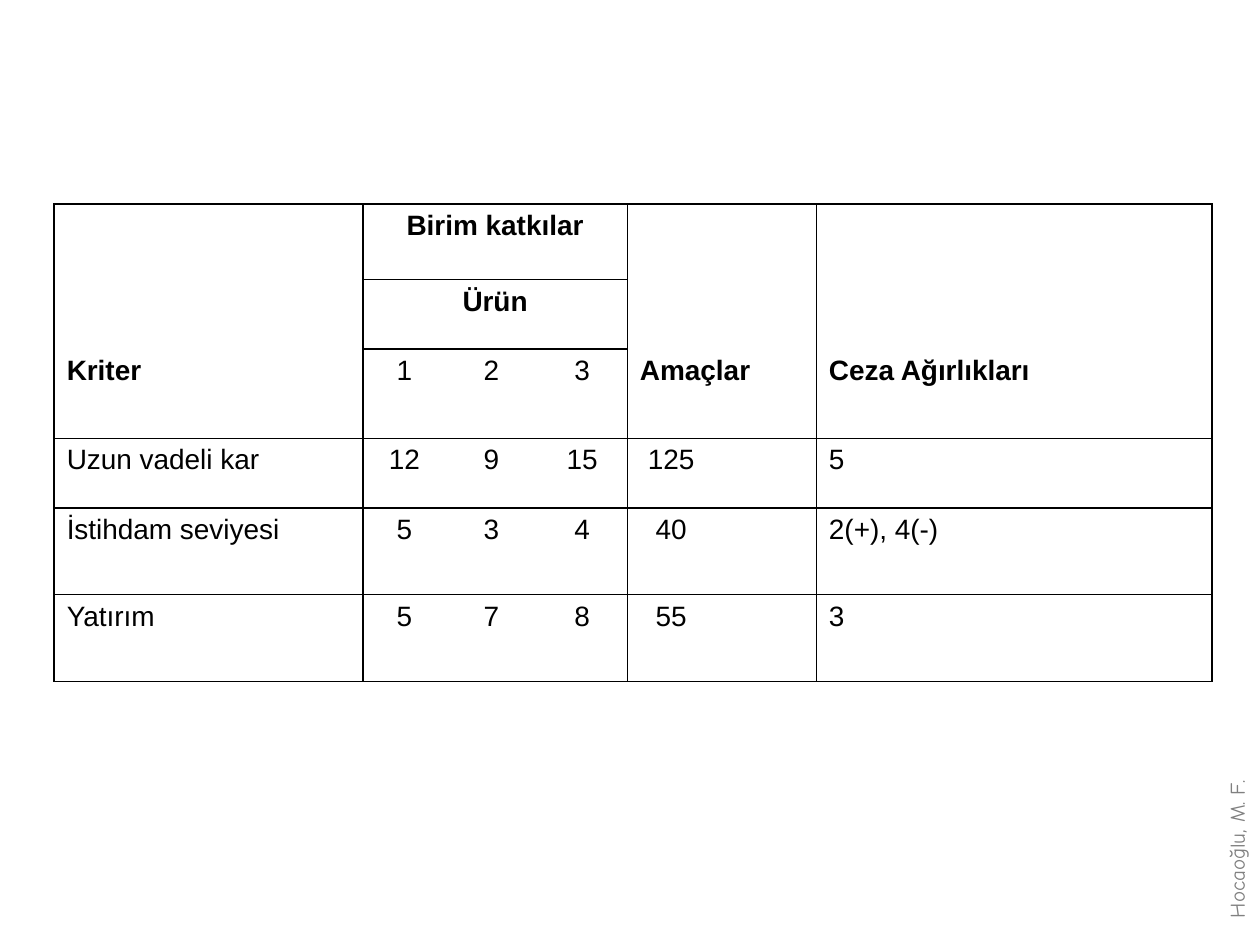
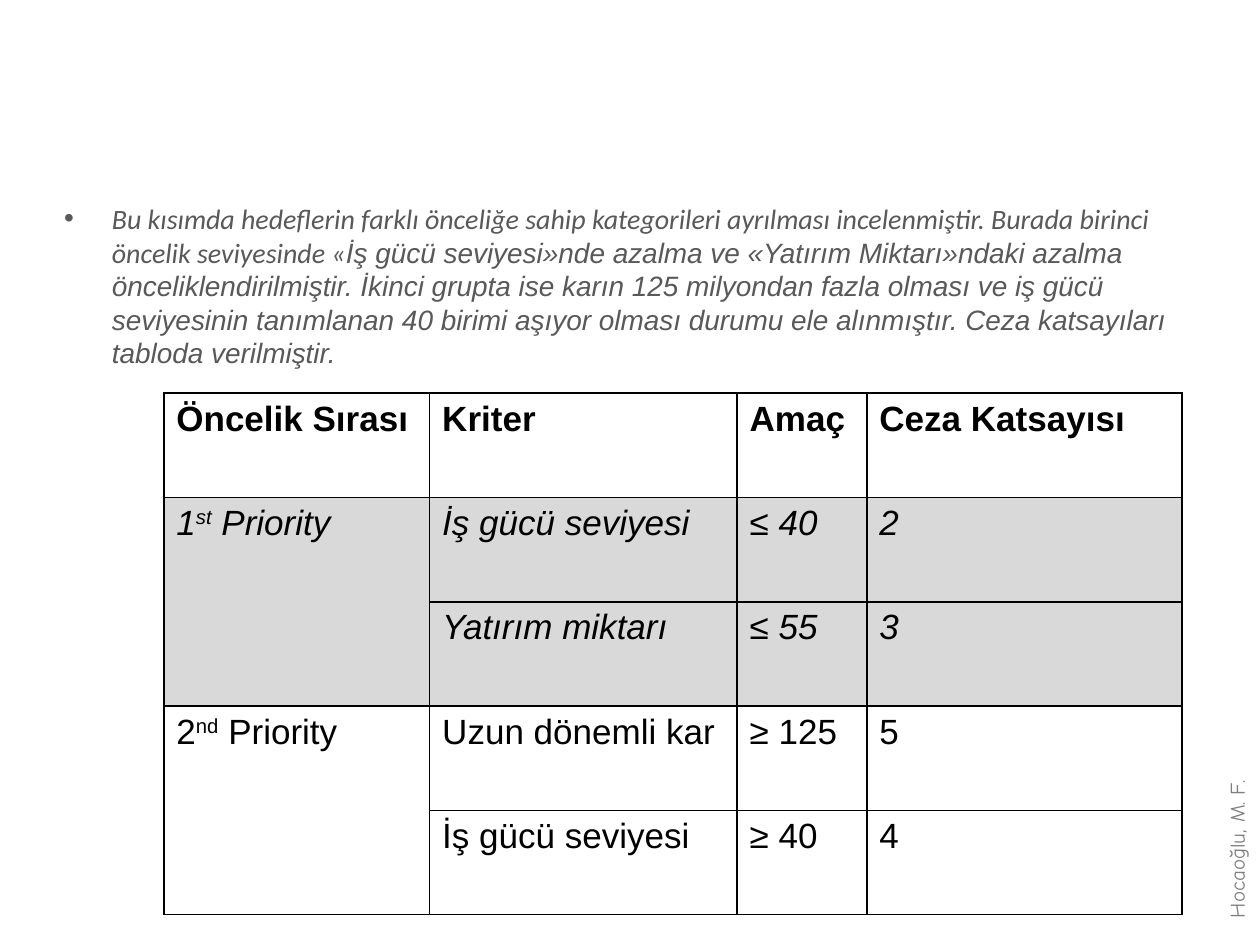
from dataclasses import dataclass

from lxml import etree
from pptx import Presentation
from pptx import util as u
from pptx.dml.color import RGBColor
from pptx.enum import text
from pptx.oxml import ns

COLOURS = {
    "ink": "000000",
    "body": "595959",
    "footer": "808080",
    "band": "D9D9D9",
    "page": "FFFFFF",
}
GRID = u.Inches(0.1)
COLUMNS, ROWS = 100, 75
SPACE_WIDTH = u.Pt(4.45)
SIDES = ("L", "R", "T", "B")


@dataclass
class Box:
    left: float
    top: float
    width: float
    height: float

    def place(self):
        return [round(side * GRID) for side in (self.left, self.top, self.width, self.height)]


@dataclass
class Block:
    top: int
    left: int
    rows: int
    columns: int
    merged: bool = False

    def holds(self, row, column):
        return (self.top <= row < self.top + self.rows
                and self.left <= column < self.left + self.columns)

    def edges(self, row, column):
        if self.merged:
            return SIDES
        touching = {
            "L": column == self.left,
            "R": column == self.left + self.columns - 1,
            "T": row == self.top,
            "B": row == self.top + self.rows - 1,
        }
        return [side for side in SIDES if touching[side]]


def colour(name):
    return RGBColor.from_string(COLOURS[name])


def style(font, name, size, shade, bold=False, italic=False):
    font.name, font.size = name, u.Pt(size)
    font.bold, font.italic = bold, italic
    font.color.rgb = colour(shade)


def add_child(parent, tag, **attributes):
    return etree.SubElement(parent, ns.qn(tag), attributes)


def set_borders(cell, edges):
    properties = cell._tc.get_or_add_tcPr()
    for side in SIDES:
        line = add_child(properties, f"a:ln{side}", w=str(u.Pt(1)))
        if side in edges:
            fill = add_child(line, "a:solidFill")
            add_child(fill, "a:srgbClr", val=COLOURS["ink"])
        else:
            add_child(line, "a:noFill")


def write_with_superscripts(paragraph, content):
    for index, part in enumerate(content.split("^")):
        run = paragraph.add_run()
        run.text = part
        if index % 2:
            run._r.get_or_add_rPr().set("baseline", "30000")


def add_grid_table(slide, box, content, widths, heights, blocks):
    left, top, width, height = box.place()
    table = slide.shapes.add_table(len(heights), len(widths), left, top, width, height).table
    table.first_row = table.horz_banding = False
    for tracks, shares, total, side in ((table.columns, widths, width, "width"),
                                        (table.rows, heights, height, "height")):
        for track, share in zip(tracks, shares):
            setattr(track, side, round(total * share / sum(shares)))
    for block in blocks:
        if block.merged:
            last = table.cell(block.top + block.rows - 1, block.left + block.columns - 1)
            table.cell(block.top, block.left).merge(last)
    for row, values in enumerate(content):
        for column, value in enumerate(values):
            cell = table.cell(row, column)
            block = next((block for block in blocks if block.holds(row, column)), None)
            set_borders(cell, block.edges(row, column) if block else SIDES)
            cell.fill.background()
            if value:
                write_with_superscripts(cell.text_frame.paragraphs[0], value)
    return table


def contributions_table(slide, box):
    content = [
        ["", "Birim katkılar", "", "", "", ""],
        ["", "Ürün", "", "", "", ""],
        ["Kriter", "1", "2", "3", "Amaçlar", "Ceza Ağırlıkları"],
        ["Uzun vadeli kar", "12", "9", "15", "125", "5"],
        ["İstihdam seviyesi", "5", "3", "4", "40", "2(+), 4(-)"],
        ["Yatırım", "5", "7", "8", "55", "3"],
    ]
    header_rows, goal_column = 3, 4
    product_columns = range(1, 4)
    blocks = [Block(0, column, header_rows, 1) for column in (0, 4, 5)]
    blocks += [Block(row, 1, 1, 3, merged=row < 2) for row in range(len(content))]
    table = add_grid_table(slide, box, content, [2.45, 0.66, 0.72, 0.72, 1.5, 3.14],
                           [0.6, 0.55, 0.71, 0.55, 0.69, 0.69], blocks)
    for row, values in enumerate(content):
        for column, value in enumerate(values):
            paragraph = table.cell(row, column).text_frame.paragraphs[0]
            if column in product_columns:
                paragraph.alignment = text.PP_ALIGN.CENTER
            if column == goal_column and value.isdigit():
                indent = (4 - len(value)) * SPACE_WIDTH
                paragraph._p.get_or_add_pPr().set("marL", str(indent))
            style(paragraph.font, "Arial", 16, "ink",
                  bold=row < header_rows and not value.isdigit())


def priorities_table(slide, box):
    content = [
        ["Öncelik Sırası", "Kriter", "Amaç", "Ceza Katsayısı"],
        ["1^st^ Priority", "İş gücü seviyesi", "≤ 40", "2"],
        ["", "Yatırım miktarı", "≤ 55", "3"],
        ["2^nd^ Priority", "Uzun dönemli kar", "≥ 125", "5"],
        ["", "İş gücü seviyesi", "≥ 40", "4"],
    ]
    first_priority = (1, 2)
    blocks = [Block(row, 0, 2, 1, merged=True) for row in (1, 3)]
    table = add_grid_table(slide, box, content, [2.11, 2.44, 1.03, 2.5],
                           [1] * len(content), blocks)
    for row, values in enumerate(content):
        for column in range(len(values)):
            cell = table.cell(row, column)
            if row in first_priority:
                cell.fill.solid()
                cell.fill.fore_color.rgb = colour("band")
            style(cell.text_frame.paragraphs[0].font, "Arial", 20, "ink",
                  bold=row == 0, italic=row in first_priority)


def add_text_box(slide, box):
    shape = slide.shapes.add_textbox(*box.place())
    shape.text_frame.word_wrap = True
    return shape, shape.text_frame.paragraphs[0]


def explanation(slide, box):
    paragraph = add_text_box(slide, box)[1]
    properties = paragraph._p.get_or_add_pPr()
    indent = u.Inches(0.38)
    properties.set("marL", str(indent))
    properties.set("indent", str(-indent))
    add_child(properties, "a:buFont", typeface="Arial")
    add_child(properties, "a:buChar", char="•")
    parts = [
        ("Calibri", "Bu kısımda hedeflerin farklı önceliğe sahip kategorileri ayrılması "
                    "incelenmiştir. Burada birinci öncelik seviyesinde «"),
        ("Arial", "İş gücü seviyesi»nde azalma ve «Yatırım Miktarı»ndaki azalma "
                  "önceliklendirilmiştir. İkinci grupta ise karın 125 milyondan fazla olması "
                  "ve iş gücü seviyesinin tanımlanan 40 birimi aşıyor olması durumu ele "
                  "alınmıştır. Ceza katsayıları tabloda verilmiştir."),
    ]
    for font_name, content in parts:
        run = paragraph.add_run()
        run.text = content
        style(run.font, font_name, 16, "body", italic=True)


def author_footer(slide, box):
    shape, paragraph = add_text_box(slide, box)
    shape.rotation = 270
    paragraph.text = "Hocaoğlu, M. F."
    style(paragraph.font, "Comic Neue", 12, "footer")


def add_page(presentation):
    slide = presentation.slides.add_slide(presentation.slide_layouts[6])
    slide.background.fill.solid()
    slide.background.fill.fore_color.rgb = colour("page")
    author_footer(slide, Box(90, 64.2, 16.3, 3))
    return slide


def contributions_slide(presentation):
    slide = add_page(presentation)
    contributions_table(slide, Box(4.3, 16.2, 91.9, 37.9))


def priorities_slide(presentation):
    slide = add_page(presentation)
    explanation(slide, Box(4.1, 15.5, 91.9, 53.4))
    priorities_table(slide, Box(13, 31.2, 80.8, 41.4))


def main():
    presentation = Presentation()
    presentation.slide_width = COLUMNS * GRID
    presentation.slide_height = ROWS * GRID
    contributions_slide(presentation)
    priorities_slide(presentation)
    presentation.save("out.pptx")


if __name__ == "__main__":
    main()
